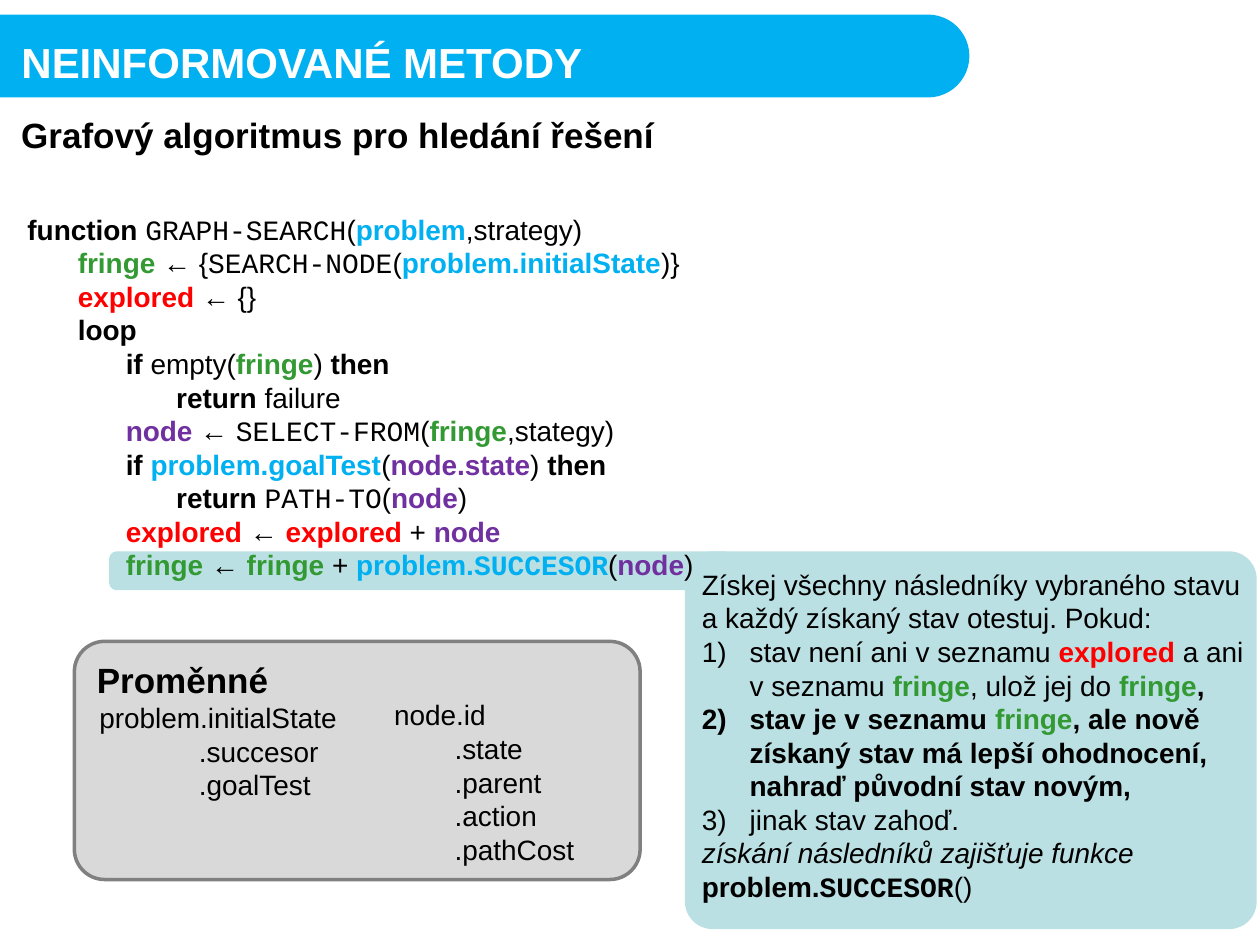
from lxml.etree import SubElement
from pptx import Presentation
from pptx.dml.color import RGBColor
from pptx.enum.shapes import MSO_SHAPE
from pptx.enum.text import MSO_ANCHOR, MSO_AUTO_SIZE, PP_ALIGN
from pptx.oxml.ns import qn
from pptx.util import Inches, Pt

BLACK, BLUE, GREEN = "000000", "00B0F0", "339933"
RED, PURPLE, PALE = "FF0000", "7030A0", "BBE0E3"
MONO = "Courier New"

# Run styles: colour, bold, italic, font
STYLES = {
    "plain": (BLACK, False, False, "Arial"),
    "bold": (BLACK, True, False, "Arial"),
    "italic": (BLACK, False, True, "Arial"),
    "white": ("FFFFFF", True, False, "Arial"),
    "problem": (BLUE, True, False, "Arial"),
    "fringe": (GREEN, True, False, "Arial"),
    "explored": (RED, True, False, "Arial"),
    "node": (PURPLE, True, False, "Arial"),
    "call": (BLACK, False, False, MONO),
    "bold call": (BLACK, True, False, MONO),
    "problem call": (BLUE, True, False, MONO),
}


def rgb(value):
    return RGBColor.from_string(value)


def write(sp, box, lines, size=16, tabs=(), anchor=MSO_ANCHOR.MIDDLE, wrap=True):
    """Fill a text shape; each line is (kind, [(style, text), ...])."""
    sp.left, sp.top, sp.width, sp.height = [Inches(v) for v in box]
    tf = sp.text_frame
    tf.auto_size = MSO_AUTO_SIZE.NONE
    tf.word_wrap = wrap
    tf.vertical_anchor = anchor
    for i, (kind, runs) in enumerate(lines):
        p = tf.paragraphs[0] if i == 0 else tf.add_paragraph()
        pPr = p._p.get_or_add_pPr()
        if sp.is_placeholder:
            # Replace the layout's bullets and indents
            numbered = kind == "number"
            pPr.set("marL", str(Inches(0.38) if numbered else 0))
            pPr.set("indent", str(Inches(-0.38) if numbered else 0))
            if numbered:
                SubElement(pPr, qn("a:buFont"), typeface="+mj-lt")
                SubElement(pPr, qn("a:buAutoNum"), type="arabicParenR")
            else:
                SubElement(pPr, qn("a:buNone"))
        if tabs:
            tab_list = SubElement(pPr, qn("a:tabLst"))
            for stop in tabs:
                SubElement(tab_list, qn("a:tab"), pos=str(Inches(stop)), algn="l")
        p.alignment = PP_ALIGN.LEFT
        p.space_before = Pt(0)
        for style, text in runs:
            r = p.add_run()
            r.text = text
            color, bold, italic, name = STYLES[style]
            r.font.size = Pt(size)
            r.font.name = name
            r.font.bold = bold
            r.font.italic = italic
            r.font.color.rgb = rgb(color)


prs = Presentation()
prs.slide_width, prs.slide_height = Inches(10), Inches(7.5)
s = prs.slides.add_slide(prs.slide_layouts[1])
title, body = s.placeholders[0], s.placeholders[1]

# Panels: variables, highlighted code line, explanation, title banner
for box, adj, fill, line in [
    ((0.59, 5.09, 4.49, 1.89), 0.127, "D9D9D9", "808080"),
    ((0.88, 4.39, 4.92, 0.28), 0.167, PALE, PALE),
    ((5.45, 4.39, 4.51, 2.97), 0.069, PALE, PALE),
    ((-0.35, 0.13, 8.03, 0.63), 0.5, BLUE, BLUE),
]:
    panel = s.shapes.add_shape(MSO_SHAPE.ROUNDED_RECTANGLE, *[Inches(v) for v in box])
    panel.adjustments[0] = adj
    panel.shadow.inherit = False
    panel.fill.solid()
    panel.fill.fore_color.rgb = rgb(fill)
    panel.line.color.rgb = rgb(line)
    panel.line.width = Pt(2)

# Bring the placeholders in front of the panels
for sp in (title, body):
    sp.element.getparent().append(sp.element)

write(title, (0.07, 0.24, 4.7, 0.5), [("text", [("white", "NEINFORMOVANÉ METODY")])],
      size=24, anchor=MSO_ANCHOR.TOP, wrap=False)

# Explanation of the highlighted line
write(body, (5.47, 4.44, 4.57, 2.79), [
    ("text", [("plain", "Získej všechny následníky vybraného stavu a každý získaný stav "
                        "otestuj. Pokud:")]),
    ("number", [("plain", "stav není ani v seznamu "), ("explored", "explored "),
                ("plain", "a ani v seznamu "), ("fringe", "fringe"),
                ("plain", ", ulož jej do "), ("fringe", "fringe"), ("bold", ",")]),
    ("number", [("bold", "stav je v seznamu "), ("fringe", "fringe"),
                ("bold", ", ale nově získaný stav má lepší ohodnocení, "
                         "nahraď původní stav novým,")]),
    ("number", [("plain", "jinak stav zahoď.")]),
    ("text", [("italic", "získání následníků zajišťuje funkce "), ("bold", "problem."),
              ("bold call", "SUCCESOR"), ("plain", "()")]),
])

# Headings
for text, box in [
    ("Grafový algoritmus pro hledání řešení", (0.07, 0.85, 5.87, 0.44)),
    ("Proměnné", (0.67, 5.17, 2.96, 0.44)),
]:
    write(s.shapes.add_textbox(0, 0, 0, 0), box, [("text", [("bold", text)])], size=20)

# Variables
for names, box, stop, anchor in [
    (["problem.initialState", "\t.succesor", "\t.goalTest"],
     (0.69, 5.51, 2.11, 0.91), 0.79, MSO_ANCHOR.TOP),
    (["node.id", "\t.state", "\t.parent", "\t.action", "\t.pathCost"],
     (3.03, 5.48, 2.36, 1.45), 0.48, MSO_ANCHOR.MIDDLE),
]:
    write(s.shapes.add_textbox(0, 0, 0, 0), box,
          [("text", [("plain", name)]) for name in names], tabs=[stop], anchor=anchor)

# Algorithm
code = [
    [("bold", "function "), ("call", "GRAPH-SEARCH"), ("plain", "("),
     ("problem", "problem"), ("plain", ",strategy)")],
    [("fringe", "\tfringe "), ("plain", "← {"), ("call", "SEARCH-NODE"), ("plain", "("),
     ("problem", "problem.initialState"), ("plain", ")}")],
    [("explored", "\texplored "), ("plain", "← {}")],
    [("bold", "\tloop")],
    [("bold", "\t\tif"), ("plain", " empty("), ("fringe", "fringe"), ("plain", ") "),
     ("bold", "then")],
    [("bold", "\t\t\treturn"), ("plain", " failure")],
    [("node", "\t\tnode "), ("plain", "← "), ("call", "SELECT-FROM"), ("plain", "("),
     ("fringe", "fringe"), ("plain", ",stategy)")],
    [("bold", "\t\tif "), ("problem", "problem.goalTest"), ("plain", "("),
     ("node", "node.state"), ("plain", ") "), ("bold", "then")],
    [("bold", "\t\t\treturn "), ("call", "PATH-TO"), ("plain", "("), ("node", "node"),
     ("plain", ")")],
    [("explored", "\t\texplored "), ("plain", "← "), ("explored", "explored "),
     ("plain", "+ "), ("node", "node")],
    [("fringe", "\t\tfringe "), ("plain", "← "), ("fringe", "fringe"), ("plain", " + "),
     ("problem", "problem."), ("problem call", "SUCCESOR"), ("plain", "("),
     ("node", "node"), ("plain", ")")],
]
write(s.shapes.add_textbox(0, 0, 0, 0), (0.12, 1.62, 5.7, 3.06),
      [("text", runs) for runs in code], tabs=[0.4, 0.78, 1.18])

prs.save("out.pptx")
